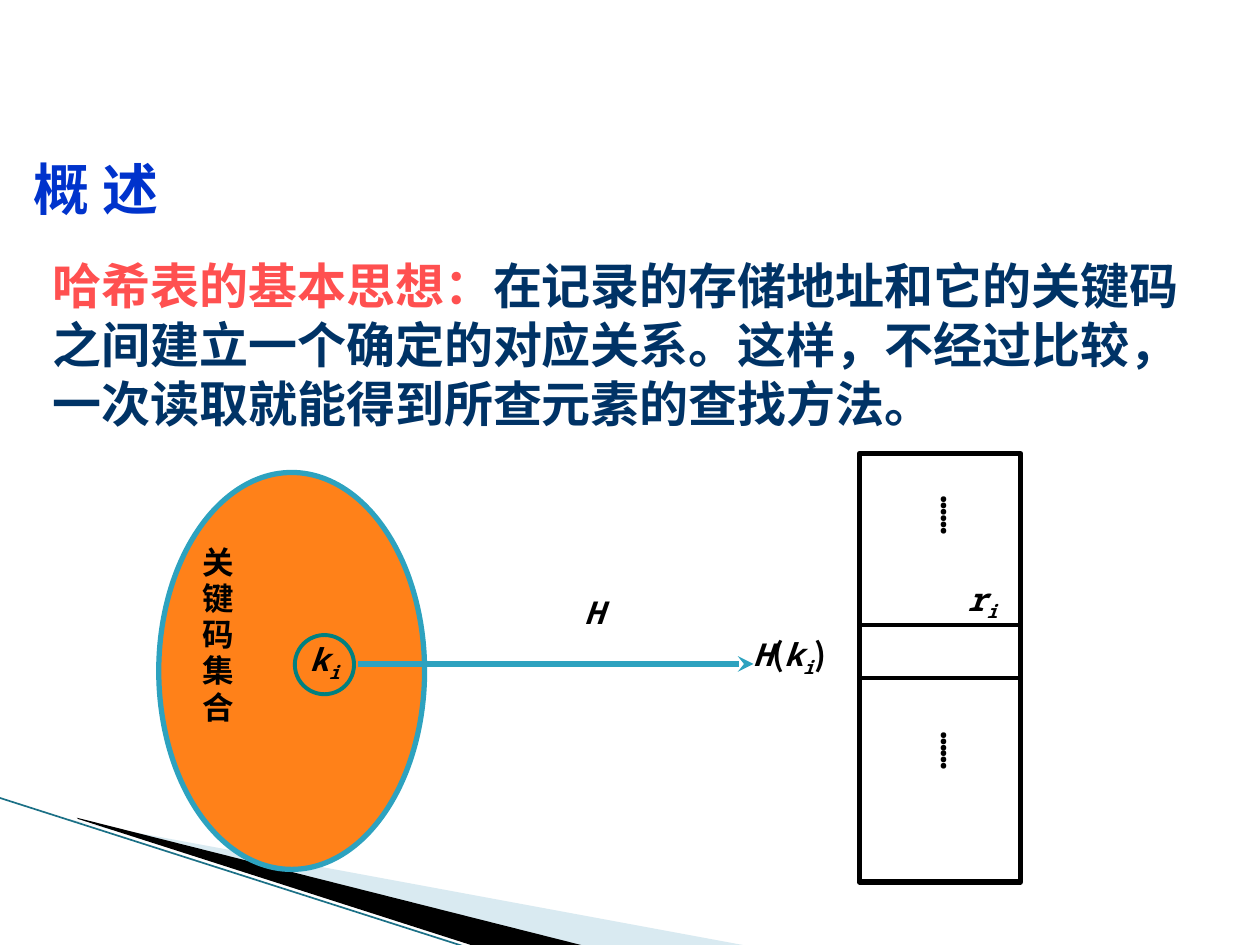
import pptx
import pptx.util
import pptx.dml.color
import pptx.enum.shapes
import pptx.enum.text
import pptx.oxml.ns
import lxml.etree

Inches, Pt = pptx.util.Inches, pptx.util.Pt
SHAPE = pptx.enum.shapes.MSO_SHAPE
ALIGN = pptx.enum.text.PP_ALIGN
qn = pptx.oxml.ns.qn

THEME = {
    "cjk": "Noto Sans CJK SC", "mono": "Noto Sans Mono",
    "heading": "0033CC", "term": "FF5050", "body": "003366",
    "ink": "000000", "keys": "FF8119", "accent": "2DA2BF", "key": "008080",
    "ribbon": "A0CBDC", "edge": "1B7086",
    "heading_size": 32, "body_size": 28, "label_size": 18,
    "thick": 3, "medium": 2.25, "thin": 0.95,
}

# Content: runs are (text, style), style being a colour name or a symbol role
HEADING = [("概 述", "heading")]
IDEA = [
    ("哈希表的基本思想：", "term"),
    ("在记录的存储地址和它的关键码之间建立一个确定的对应关系。"
     "这样，不经过比较，一次读取就能得到所查元素的查找方法。", "body"),
]
KEY_SET = [("关键码集合", "ink")]
DOTS = [("……", "ink")]
SYMBOLS = [  # left, top, width, height, runs
    (2.44, 5.08, 0.4, 0.36, [("k", "symbol"), ("i", "index")]),
    (7.66, 4.6, 0.4, 0.36, [("r", "symbol"), ("i", "index")]),
    (5.96, 5.04, 0.81, 0.28, [("H", "symbol"), ("(", "bracket"), ("k", "symbol"),
                              ("i", "index"), (")", "bracket")]),
    (4.62, 4.73, 0.4, 0.37, [("H", "symbol")]),
]
RIBBONS = [  # colour, opacity in %, outline
    ("ribbon", 40, [(0.55, 6.51), (5.95, 7.51), (4.56, 7.51), (0.55, 6.5)]),
    ("ink", 100, [(0.61, 6.49), (4.65, 7.51), (3.8, 7.52), (0.62, 6.5)]),
]
TABLE = (6.82, 3.6, 1.28, 3.4)
RECORD_EDGES = (4.96, 5.38)
DOT_TOPS = (3.9, 5.77)

prs = pptx.Presentation()
prs.slide_width, prs.slide_height = Inches(10), Inches(7.5)
slide = prs.slides.add_slide(prs.slide_layouts[6])


def color(name):
    return pptx.dml.color.RGBColor.from_string(THEME[name])


def set_face(font, face):
    font.name = THEME[face]
    east_asian = lxml.etree.SubElement(font._element, qn("a:ea")) if hasattr(font, "_element") \
        else lxml.etree.SubElement(font._rPr, qn("a:ea"))
    east_asian.set("typeface", THEME[face])


def add_text(box, runs, size, face, spacing, inset=None, align=ALIGN.LEFT, vertical=False):
    frame = slide.shapes.add_textbox(*map(Inches, box)).text_frame
    frame.word_wrap = True
    if inset is not None:
        frame.margin_left = frame.margin_right = Inches(0.02)
        frame.margin_top, frame.margin_bottom = Inches(inset), 0
    if vertical:
        frame._txBody.bodyPr.set("vert", "eaVert")
    paragraph = frame.paragraphs[0]
    paragraph.alignment, paragraph.line_spacing = align, spacing
    paragraph.font.size, paragraph.font.bold = Pt(THEME[size]), True
    paragraph.font.color.rgb = color("ink")
    set_face(paragraph.font, face)
    for words, style in runs:
        run = paragraph.add_run()
        run.text = words
        if style in ("symbol", "index"):
            run.font.italic = True
        if style == "index":
            run._r.get_or_add_rPr().set("baseline", "-25000")
        elif style == "bracket":
            set_face(run.font, "cjk")
        elif style in THEME:
            run.font.color.rgb = color(style)


def add_outline(kind, box, line, width, fill=None):
    shape = slide.shapes.add_shape(kind, *map(Inches, box))
    shape.shadow.inherit = False
    shape.line.color.rgb, shape.line.width = color(line), Pt(width)
    if fill:
        shape.fill.solid()
        shape.fill.fore_color.rgb = color(fill)
    else:
        shape.fill.background()


def add_line(start, end, line, width, head=None):
    connector = slide.shapes.add_connector(
        pptx.enum.shapes.MSO_CONNECTOR.STRAIGHT, *map(Inches, start + end))
    connector.line.color.rgb, connector.line.width = color(line), Pt(width)
    if head:
        lxml.etree.SubElement(connector.line._get_or_add_ln(), qn("a:tailEnd")).set("type", head)
    lxml.etree.SubElement(connector._element.spPr, qn("a:effectLst"))


# Corner decoration
for name, opacity, points in RIBBONS:
    corners = [(Inches(x), Inches(y)) for x, y in points]
    builder = slide.shapes.build_freeform(*corners[0])
    builder.add_line_segments(corners[1:])
    ribbon = builder.convert_to_shape()
    ribbon.shadow.inherit = False
    ribbon.line.fill.background()
    ribbon.fill.solid()
    ribbon.fill.fore_color.rgb = color(name)
    if opacity < 100:
        tint = ribbon._element.spPr.find(qn("a:solidFill"))[0]
        lxml.etree.SubElement(tint, qn("a:alpha")).set("val", str(opacity * 1000))
add_line((-0.01, 6.33), (3.71, 7.52), "edge", THEME["thin"])

# Heading and basic idea
for box, runs, size in (((0.17, 1.18, 7, 0.63), HEADING, "heading_size"),
                        ((0.32, 1.98, 9.33, 1.5), IDEA, "body_size")):
    add_text(box, runs, size, "cjk", Pt(1.2 * THEME[size]))

# Set of keys
add_outline(SHAPE.OVAL, (1.26, 3.75, 2.11, 3.15), "accent", THEME["thick"], "keys")
add_text((1.59, 4.32, 0.34, 1.92), KEY_SET, "label_size", "mono", Pt(20.7), 0)

# Hash table with one record row
left, top, width, height = TABLE
add_outline(SHAPE.RECTANGLE, TABLE, "ink", THEME["thick"])
for y in RECORD_EDGES:
    add_line((left, y), (left + width, y), "ink", THEME["medium"])
for y in DOT_TOPS:
    add_text((7.35, y, 0.37, 0.9), DOTS, "label_size", "mono", 0.96, 0.04, vertical=True)

# Mapping from key to address
add_line((2.84, 5.27), (5.98, 5.27), "accent", THEME["thick"], "stealth")
add_outline(SHAPE.OVAL, (2.34, 5.04, 0.47, 0.47), "key", THEME["medium"])
for *box, runs in SYMBOLS:
    add_text(box, runs, "label_size", "mono", 0.96, 0)

prs.save("out.pptx")
